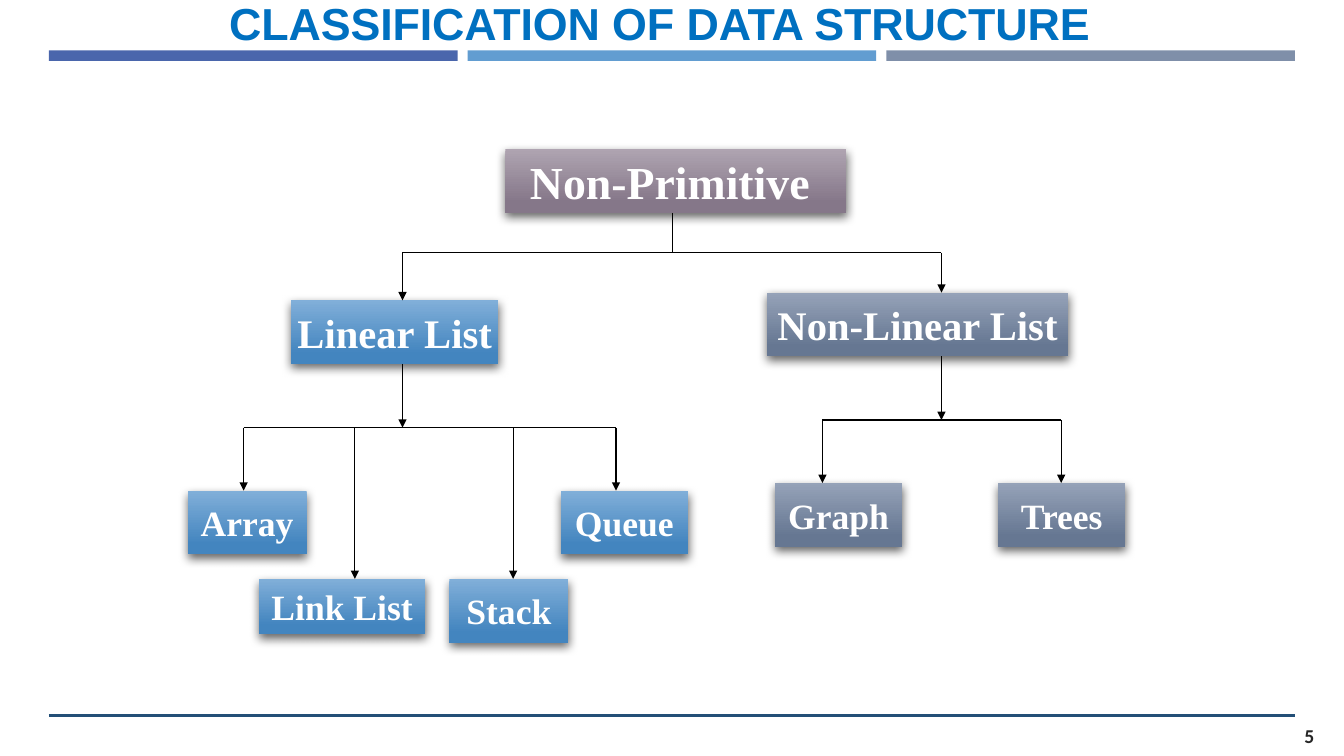
from dataclasses import dataclass

from lxml.etree import SubElement
from pptx import Presentation
from pptx.dml.color import RGBColor
from pptx.enum.shapes import MSO_CONNECTOR, MSO_SHAPE
from pptx.enum.text import MSO_ANCHOR, MSO_AUTO_SIZE, PP_ALIGN
from pptx.oxml.ns import qn
from pptx.util import Pt

COLORS = {
    "title": "0070C0",
    "bar_left": "4A66AC",
    "bar_middle": "629DD1",
    "bar_right": "7F8FA9",
    "rule": "234F77",
    "line": "000000",
    "shadow": "000000",
    "node_text": "FFFFFF",
    "number": "262626",
    "root_top": "AFA4B1",
    "root_bottom": "857789",
    "linear_top": "81AFD9",
    "linear_bottom": "4385BF",
    "nonlinear_top": "95A2B8",
    "nonlinear_bottom": "667792",
}


@dataclass
class Box:
    left: float
    top: float
    width: float
    height: float

    def within(self, left, top, width, height):
        return Box(self.left + left, self.top + top, width, height)

    def lengths(self):
        return Pt(self.left), Pt(self.top), Pt(self.width), Pt(self.height)


def color(name):
    return RGBColor.from_string(COLORS[name])


def write(shape, text, font, size, color_name, align, margins=(0, 0), wrap=True):
    frame = shape.text_frame
    frame.auto_size = MSO_AUTO_SIZE.NONE
    frame.word_wrap = wrap
    frame.vertical_anchor = MSO_ANCHOR.MIDDLE
    frame.margin_left = frame.margin_right = Pt(margins[0])
    frame.margin_top = frame.margin_bottom = Pt(margins[1])
    para = frame.paragraphs[0]
    para.alignment = align
    span = para.add_run()
    span.text = text
    span.font.name = font
    span.font.size = Pt(size)
    span.font.bold = True
    span.font.color.rgb = color(color_name)
    return span


def add_line(page, start, end, color_name="line", width=0.75, arrow=False):
    line = page.shapes.add_connector(
        MSO_CONNECTOR.STRAIGHT, *(Pt(value) for value in start + end)
    )
    line.line.color.rgb = color(color_name)
    line.line.width = Pt(width)
    if arrow:
        SubElement(line.line._get_or_add_ln(), qn("a:tailEnd"), type="triangle")
    SubElement(line._element.spPr, qn("a:effectLst"))


def add_shadow(shape):
    effects = SubElement(shape._element.spPr, qn("a:effectLst"))
    shadow = SubElement(
        effects, qn("a:outerShdw"), blurRad=str(Pt(7)), dist=str(Pt(3)),
        dir=str(84 * 60000), rotWithShape="0",
    )
    tint = SubElement(shadow, qn("a:srgbClr"), val=COLORS["shadow"])
    SubElement(tint, qn("a:alpha"), val="60000")


def add_node(page, box, text, size, group):
    node = page.shapes.add_shape(MSO_SHAPE.RECTANGLE, *box.lengths())
    node.fill.gradient()
    node.fill.gradient_angle = 270
    stops = zip(node.fill.gradient_stops, (0, 0.84), ("top", "bottom"))
    for stop, position, end in stops:
        stop.position = position
        stop.color.rgb = color(f"{group}_{end}")
    node.line.fill.background()
    add_shadow(node)
    write(node, text, "Times New Roman", size, "node_text", PP_ALIGN.CENTER,
          (6.5, 3), wrap=False)


def add_branch(page, stem, bottom, bar, drops, arrow=True):
    add_line(page, (stem, bottom), (stem, bar), arrow=arrow)
    add_line(page, (drops[0][0], bar), (drops[-1][0], bar))
    for across, end in drops:
        add_line(page, (across, bar), (across, end), arrow=True)


def add_header(page, box):
    title = page.shapes.title
    title.left, title.top, title.width, title.height = box.within(98.5, -44.6, 675, 49.7).lengths()
    span = write(title, "CLASSIFICATION OF DATA STRUCTURE", "Arial", 32, "title", PP_ALIGN.CENTER)
    span._r.get_or_add_rPr().set("spc", "-10")
    gap = 7.2
    width = (box.width - 2 * gap) / 3
    for index, name in enumerate(("bar_left", "bar_middle", "bar_right")):
        place = box.within(index * (width + gap), 0, width, box.height)
        bar = page.shapes.add_shape(MSO_SHAPE.RECTANGLE, *place.lengths())
        bar.shadow.inherit = False
        bar.fill.solid()
        bar.fill.fore_color.rgb = color(name)
        bar.line.fill.background()


def add_family(page, box, name, group, head, stem, leaves):
    head_box = box.within(*head)
    add_node(page, head_box, name, 29, group)
    bottom = head_box.top + head_box.height
    drops = []
    for text, left, top, width, height, drop in leaves:
        leaf = box.within(left, top, width, height)
        add_node(page, leaf, text, 25.4, group)
        drops.append((box.left + drop, leaf.top))
    add_branch(page, box.left + stem, bottom, bottom + 45.5, drops)
    return box.left + stem, box.top


def add_tree(page, box):
    root = box.within(227, 0, 243.5, 45.5)
    add_node(page, root, "Non-Primitive ", 32.7, "root")
    linear = add_family(
        page, box.within(0, 108, 357, 245), "Linear List", "linear",
        (74, 0, 148, 45.5), 153.5,
        (
            ("Array", 0, 136, 85, 45.5, 40),
            ("Link List", 51, 199, 119, 39.5, 119.5),
            ("Stack", 187, 199, 85, 45.5, 232.5),
            ("Queue", 266.5, 136, 91, 45.5, 306),
        ),
    )
    nonlinear = add_family(
        page, box.within(414, 102.5, 256, 182), "Non-Linear List", "nonlinear",
        (0, 0, 215, 45.5), 124.5,
        (
            ("Graph", 5.5, 136, 91, 45.5, 39.5),
            ("Trees", 165, 136, 91, 45.5, 210),
        ),
    )
    bottom = root.top + root.height
    add_branch(page, box.left + 346.5, bottom, bottom + 28.5, (linear, nonlinear), arrow=False)


def add_footer(page, box):
    add_line(page, (box.left, box.top), (box.left + box.width, box.top), "rule", 2.25)
    place = box.within(box.width - 21.5, 0, 42.5, box.height)
    number = page.shapes.add_textbox(*place.lengths())
    write(number, "5", "Calibri", 14, "number", PP_ALIGN.RIGHT, (7.2, 3.6))


def main():
    deck = Presentation()
    deck.slide_width, deck.slide_height = Pt(960), Pt(540)
    page = deck.slides.add_slide(deck.slide_layouts[5])
    add_header(page, Box(35, 36, 890, 7.5))
    add_tree(page, Box(134, 106.5, 670, 353))
    add_footer(page, Box(35, 511, 890, 29))
    deck.save("out.pptx")


if __name__ == "__main__":
    main()
